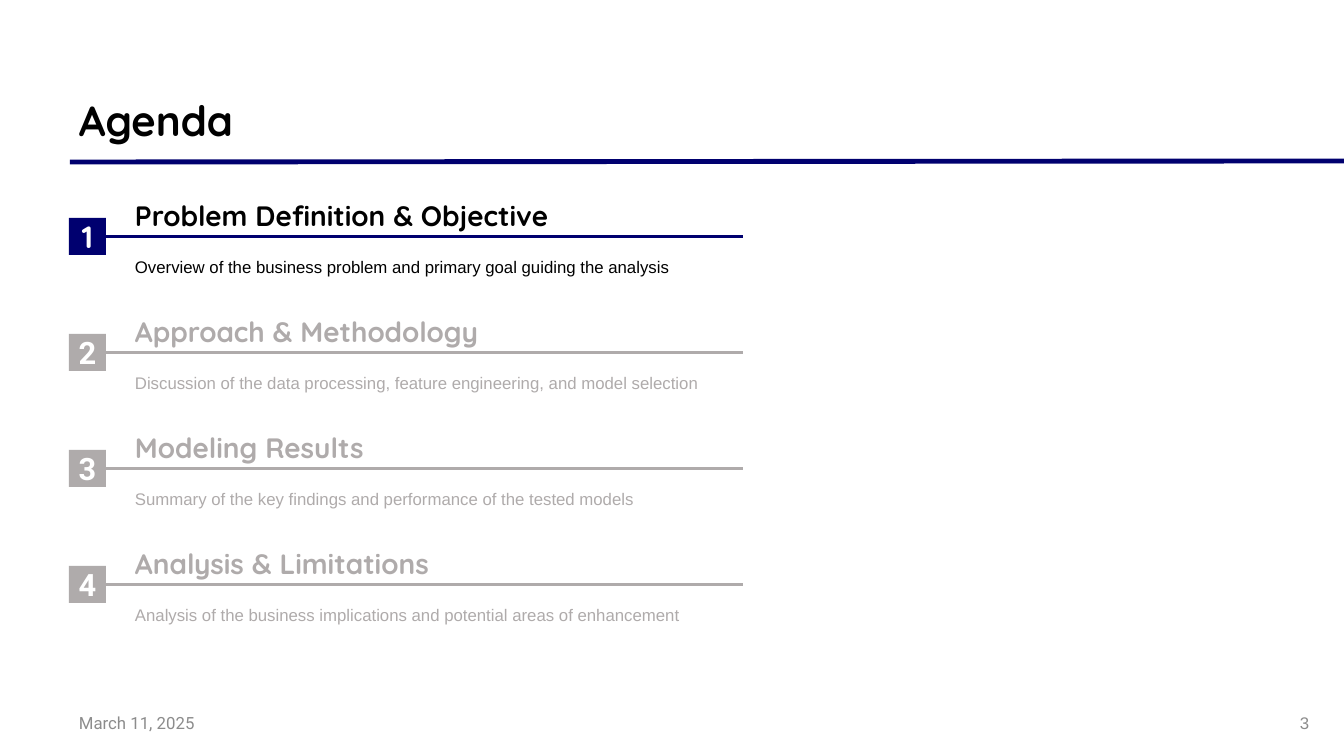
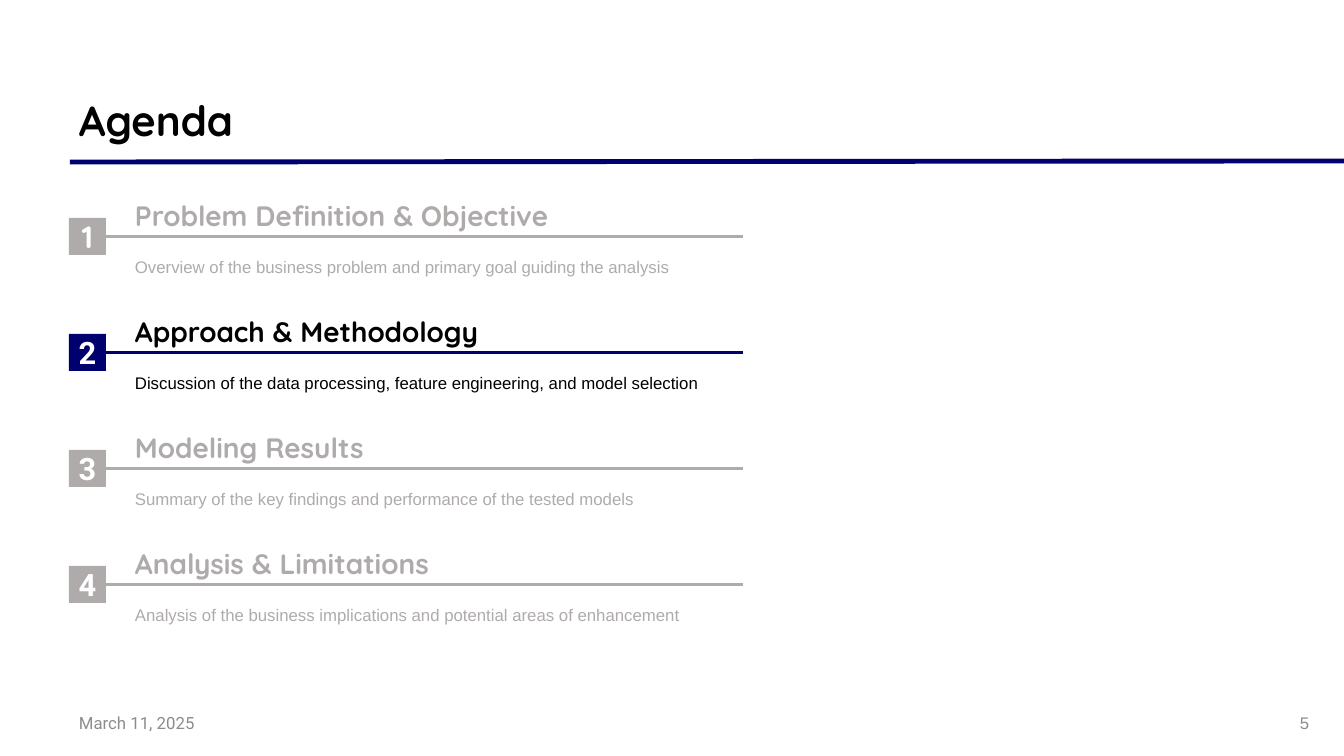
from lxml import etree
from pptx import Presentation
from pptx.dml.color import RGBColor
from pptx.enum.shapes import MSO_CONNECTOR, MSO_SHAPE
from pptx.enum.text import MSO_ANCHOR, PP_ALIGN
from pptx.oxml.ns import qn
from pptx.util import Emu, Pt

STRAIGHT = MSO_CONNECTOR.STRAIGHT
RECT = MSO_SHAPE.RECTANGLE
TOP, MIDDLE, BOTTOM = MSO_ANCHOR.TOP, MSO_ANCHOR.MIDDLE, MSO_ANCHOR.BOTTOM
LEFT, CENTER, RIGHT = PP_ALIGN.LEFT, PP_ALIGN.CENTER, PP_ALIGN.RIGHT

SCALE = 914400 / 100.8
COLORS = {
    "navy": "00006F",
    "black": "000000",
    "muted": "AFABAB",
    "white": "FFFFFF",
    "footer": "8C8C8C",
}
HEAD, BODY, LABEL = "Quicksand", "Arial", "Roboto"
FIRST, PITCH = 183, 116
TOPICS = [
    ("Problem Definition & Objective",
     "Overview of the business problem and primary goal guiding the analysis"),
    ("Approach & Methodology",
     "Discussion of the data processing, feature engineering, and model selection"),
    ("Modeling Results",
     "Summary of the key findings and performance of the tested models"),
    ("Analysis & Limitations",
     "Analysis of the business implications and potential areas of enhancement"),
]


def px(n):
    """Turn pixels into EMU."""
    return Emu(round(n * SCALE))


def color(name):
    """Look up a named colour."""
    return RGBColor.from_string(COLORS[name])


class Deck:
    """Hold the shared style and the current slide."""

    def __init__(self):
        """Open a blank wide deck."""
        self.prs = Presentation()
        self.prs.slide_width, self.prs.slide_height = px(1344), px(756)
        self.slide = None

    def style(self, para, size, font, tint, bold=False, align=LEFT):
        """Format a paragraph and its runs."""
        para.alignment = align
        for run in para.runs:
            run.font.size, run.font.name, run.font.bold = Pt(size), font, bold
            run.font.color.rgb = color(tint)

    def text(self, box, lines, anchor=TOP, space=None):
        """Add a text box with one styled paragraph per line."""
        frame = self.slide.shapes.add_textbox(*map(px, box)).text_frame
        frame.word_wrap = True
        frame.vertical_anchor = anchor
        frame.text = "\n".join(line[0] for line in lines)
        for para, line in zip(frame.paragraphs, lines):
            para.line_spacing = space
            self.style(para, *line[1:])

    def line(self, start, end, tint, width):
        """Add a straight line between two EMU points."""
        line = self.slide.shapes.add_connector(STRAIGHT, *start, *end)
        line.line.color.rgb = color(tint)
        line.line.width = Pt(width)
        etree.SubElement(line._element.spPr, qn("a:effectLst"))
        return line

    def badge(self, box, number, fill):
        """Add a filled square with its number."""
        shape = self.slide.shapes.add_shape(RECT, *map(px, box))
        shape.shadow.inherit = False
        shape.fill.solid()
        shape.fill.fore_color.rgb = color(fill)
        shape.line.fill.background()
        frame = shape.text_frame
        frame.word_wrap = False
        frame.margin_left = frame.margin_right = 0
        frame.vertical_anchor = MIDDLE
        frame.text = str(number)
        font = HEAD if number == 1 else LABEL
        self.style(frame.paragraphs[0], 22, font, "white", True, CENTER)
        return shape

    def topic(self, number, title, detail, active):
        """Add one agenda row."""
        top = FIRST + PITCH * (number - 1)
        ink, mark = ("black", "navy") if active else ("muted", "muted")
        self.text((125, top, 618, 102),
                  [(title, 20, HEAD, ink, True), (detail, 12, BODY, ink)],
                  space=Pt(31.8))
        badge = self.badge((69, top + 35, 37, 37), number, mark)
        mid = badge.top + badge.height // 2
        rule = self.line((badge.left + badge.width, mid), (px(743), mid), mark, 2.25)
        rule.begin_connect(badge, 3)

    def page(self, title, number):
        """Start a slide with its title, rule and footer."""
        self.slide = self.prs.slides.add_slide(self.prs.slide_layouts[6])
        self.line((px(70), px(162)), (px(1344), px(161)), "navy", 3.5)
        self.text((69, 16, 1065, 135), [(title, 30, HEAD, "black", True)], BOTTOM, 0.9)
        self.text((69, 703, 205, 40),
                  [("March 11, 2025", 12, LABEL, "footer")], MIDDLE)
        self.text((1017, 703, 302, 40),
                  [(str(number), 12, BODY, "footer", False, RIGHT)], MIDDLE)

    def agenda(self, number, active):
        """Add an agenda slide with one active topic."""
        self.page("Agenda", number)
        for i, (title, detail) in enumerate(TOPICS, 1):
            self.topic(i, title, detail, i == active)


def main():
    """Build and save the deck."""
    deck = Deck()
    for number, active in ((3, 1), (5, 2)):
        deck.agenda(number, active)
    deck.prs.save("out.pptx")


if __name__ == "__main__":
    main()
